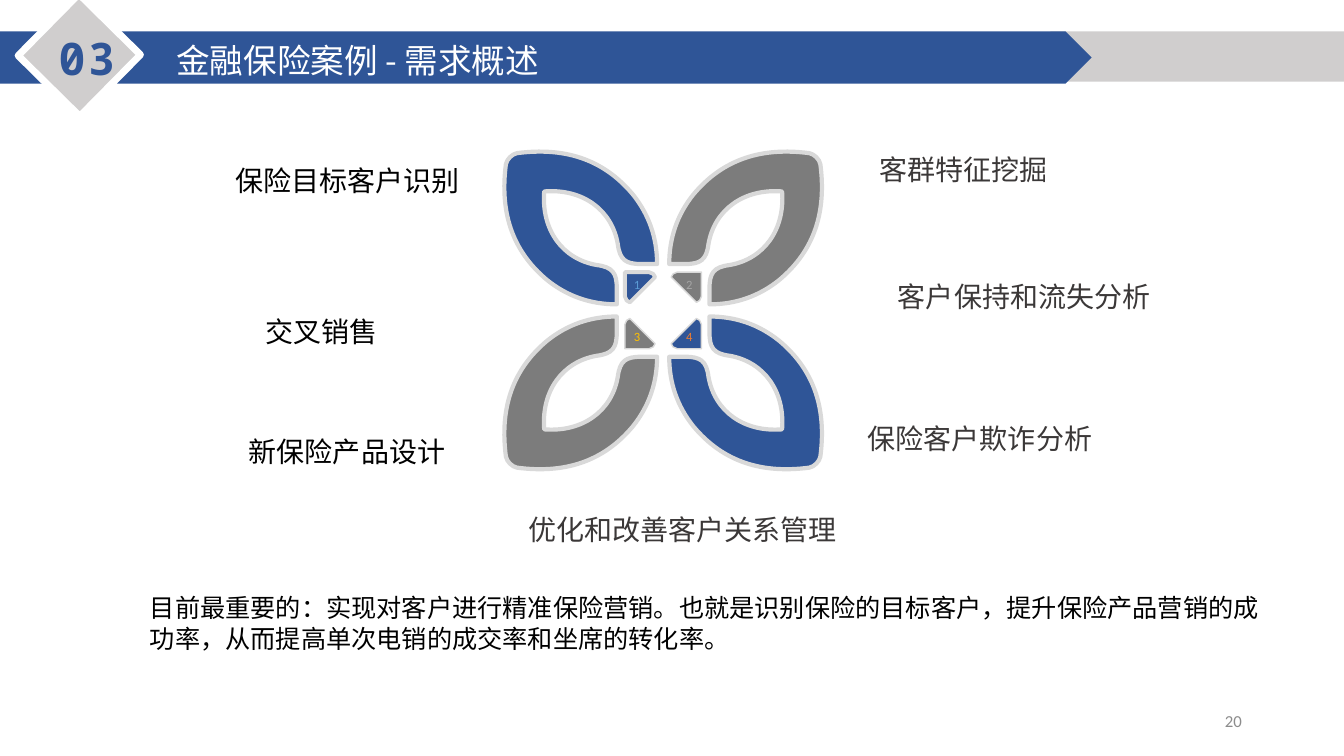
from lxml import etree
from pptx import Presentation
from pptx.dml.color import RGBColor
from pptx.enum.shapes import MSO_SHAPE
from pptx.enum.text import MSO_ANCHOR, PP_ALIGN
from pptx.oxml.ns import qn
from pptx.util import Cm, Pt

RECT, PENTAGON = MSO_SHAPE.RECTANGLE, MSO_SHAPE.PENTAGON
LEFT, CENTER, RIGHT = PP_ALIGN.LEFT, PP_ALIGN.CENTER, PP_ALIGN.RIGHT
TOP, MIDDLE = MSO_ANCHOR.TOP, MSO_ANCHOR.MIDDLE

BLUE = RGBColor(0x2F, 0x55, 0x97)
SILVER = RGBColor(0xD0, 0xCE, 0xCE)
EDGE = RGBColor(0xD9, 0xD9, 0xD9)
GRAY = RGBColor(0x7C, 0x7C, 0x7C)
WHITE = RGBColor(0xFF, 0xFF, 0xFF)
BLACK = RGBColor(0x00, 0x00, 0x00)
CHARCOAL = RGBColor(0x3B, 0x38, 0x38)
PAGE_GRAY = RGBColor(0x8C, 0x8C, 0x8C)
SKY = RGBColor(0x5B, 0x9B, 0xD5)
ASH = RGBColor(0xA5, 0xA5, 0xA5)
GOLD = RGBColor(0xFF, 0xC0, 0x00)
ORANGE = RGBColor(0xED, 0x7D, 0x31)

CJK, LATIN, MONO = "Noto Sans CJK SC", "Calibri", "Noto Sans Mono"

UNIT_CM = 0.0254
FLOWER_X, FLOWER_Y = 658, 308
DIGIT_OFFSET = 26
DIGIT_BOX = 20

INNER_CORNER = (118, 118)
SHOULDER, NECK, BASE = (45, 66), (22, 46), (6, 46)
BULGE, OUTER_TIP = (30, 115), (145, 156)
HALF_PETAL = [
    INNER_CORNER,
    (80, 121), (51, 100), SHOULDER,
    (43, 50), (37, 46), NECK,
    NECK, BASE, BASE,
    (6, 72), (14, 95), BULGE,
    (60, 151), (99, 162), OUTER_TIP,
    (150, 155),
]

HEART_CORNER, HEART_EDGE, HEART_END = (38, 38), (14, 38), (8, 33)
HALF_HEART = [
    HEART_CORNER,
    HEART_CORNER, HEART_EDGE, HEART_EDGE,
    (11, 37), (8, 36), HEART_END,
    HEART_END,
]

QUARTERS = [
    ("1", -1, -1, BLUE, SKY, 2.75),
    ("2", 1, -1, GRAY, ASH, 1),
    ("3", -1, 1, GRAY, GOLD, 1),
    ("4", 1, 1, BLUE, ORANGE, 1),
]

LABELS = [
    ("保险目标客户识别 ", 5.59, 3.99, 6.4, BLACK, RIGHT),
    ("交叉销售 ", 6.45, 7.8, 3.51, BLACK, LEFT),
    ("新保险产品设计 ", 5.94, 10.82, 5.69, BLACK, RIGHT),
    ("客群特征挖掘", 21.92, 3.73, 4.78, CHARCOAL, LEFT),
    ("客户保持和流失分析", 22.38, 6.91, 6.93, CHARCOAL, LEFT),
    ("保险客户欺诈分析", 21.62, 10.49, 6.43, CHARCOAL, LEFT),
    ("优化和改善客户关系管理", 13.06, 12.78, 8.56, CHARCOAL, LEFT),
]


def mirror_on_diagonal(half):
    return half + [(v, u) for u, v in reversed(half)]


def place_in_quarter(points, side, level):
    return [(FLOWER_X + side * u, FLOWER_Y + level * v) for u, v in points]


class Deck:
    def __init__(self):
        self.prs = Presentation()
        self.prs.slide_width, self.prs.slide_height = Cm(33.87), Cm(19.05)
        self.s = self.prs.slides.add_slide(self.prs.slide_layouts[6])

    def paint(self, sp, fill, line, weight):
        sp.shadow.inherit = False
        sp.fill.solid()
        sp.fill.fore_color.rgb = fill
        if line is None:
            sp.line.fill.background()
        else:
            sp.line.color.rgb = line
            sp.line.width = Pt(weight)

    def shape(self, kind, x, y, w, h, fill, line=None, weight=0, rotation=0):
        sp = self.s.shapes.add_shape(kind, Cm(x), Cm(y), Cm(w), Cm(h))
        sp.rotation = rotation
        self.paint(sp, fill, line, weight)

    def curve(self, points, fill, line, weight):
        builder = self.s.shapes.build_freeform(*points[0], scale=Cm(UNIT_CM))
        builder.add_line_segments(points[1:], close=True)
        sp = builder.convert_to_shape()
        steps = list(sp._element.iter(qn("a:lnTo")))
        for i in range(0, len(steps) - 2, 3):
            bezier = etree.Element(qn("a:cubicBezTo"))
            steps[i].addprevious(bezier)
            for step in steps[i:i + 3]:
                bezier.append(step[0])
                step.getparent().remove(step)
        self.paint(sp, fill, line, weight)

    def quarter(self, digit, side, level, fill, digit_color, heart_weight):
        for half, weight in ((HALF_PETAL, 3), (HALF_HEART, heart_weight)):
            points = place_in_quarter(mirror_on_diagonal(half), side, level)
            self.curve(points, fill, EDGE, weight)
        [(x, y)] = place_in_quarter([(DIGIT_OFFSET, DIGIT_OFFSET)], side, level)
        size = DIGIT_BOX * UNIT_CM
        self.text(digit, x * UNIT_CM - size / 2, y * UNIT_CM - size / 2, size, size, 9,
                  digit_color, LATIN, CENTER, wrap=True, anchor=MIDDLE, inset=False)

    def text(self, text, x, y, w, h, size, color, font=CJK, align=LEFT, wrap=False,
             bold=False, anchor=TOP, line_spacing=None, tracking=0, inset=True):
        tf = self.s.shapes.add_textbox(Cm(x), Cm(y), Cm(w), Cm(h)).text_frame
        tf.word_wrap = wrap
        tf.vertical_anchor = anchor
        if not inset:
            tf.margin_left = tf.margin_right = tf.margin_top = tf.margin_bottom = 0
        p = tf.paragraphs[0]
        p.text = text
        p.alignment = align
        p.line_spacing = line_spacing
        r = p.runs[0]
        r.font.name, r.font.size, r.font.bold = font, Pt(size), bold
        r.font.color.rgb = color
        rPr = r.font._element
        rPr.find(qn("a:latin")).addnext(etree.Element(qn("a:ea"), typeface=CJK))
        if tracking:
            rPr.set("spc", str(tracking * 100))


def main():
    deck = Deck()
    deck.text("20", 23.93, 17.65, 7.62, 1.02, 12, PAGE_GRAY, LATIN, RIGHT, True, anchor=MIDDLE)
    deck.shape(RECT, 26.47, 0.79, 7.4, 1.27, SILVER)
    deck.shape(PENTAGON, 0, 0.79, 27.51, 1.32, BLUE)
    deck.shape(RECT, 0.91, 0.3, 2.18, 2.18, SILVER, WHITE, 5, 314.6)
    deck.text("03 ", 1.07, 0.66, 2.31, 1.63, 32, BLUE, MONO, CENTER, bold=True, tracking=2)
    deck.text("金融保险案例 - 需求概述", 3.53, 0.58, 10.97, 1.45, 24, WHITE,
              align=CENTER, wrap=True, line_spacing=1.3)
    for quarter in QUARTERS:
        deck.quarter(*quarter)
    for label, x, y, w, color, align in LABELS:
        deck.text(label, x, y, w, 1.12, 20, color, align=align)
    deck.text("目前最重要的：实现对客户进行精准保险营销。也就是识别保险的目标客户，提升保险产品营销的成功率，"
              "从而提高单次电销的成交率和坐席的转化率。",
              3.53, 14.81, 28.98, 1.8, 18, BLACK, LATIN, wrap=True)
    deck.prs.save("out.pptx")


if __name__ == "__main__":
    main()
